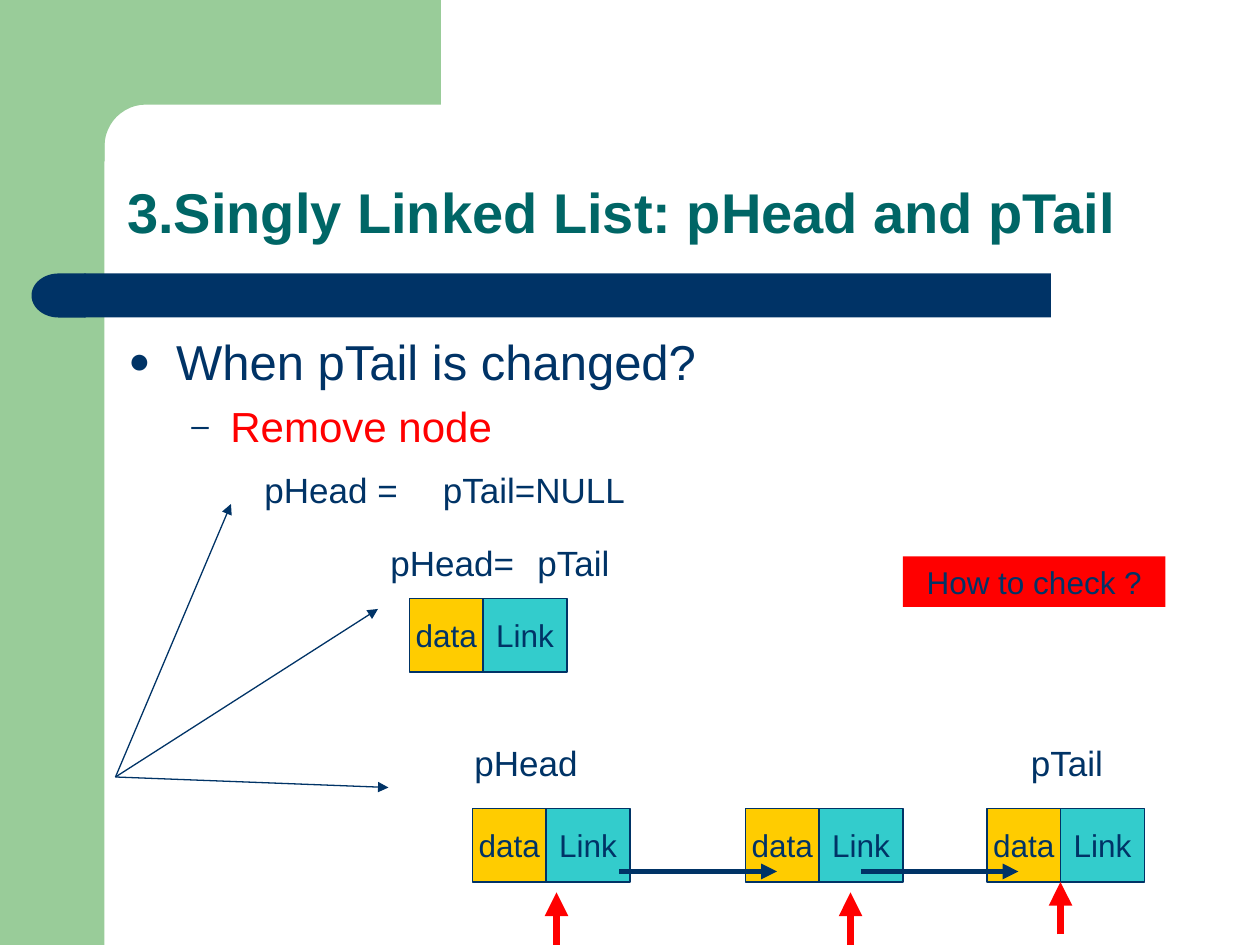
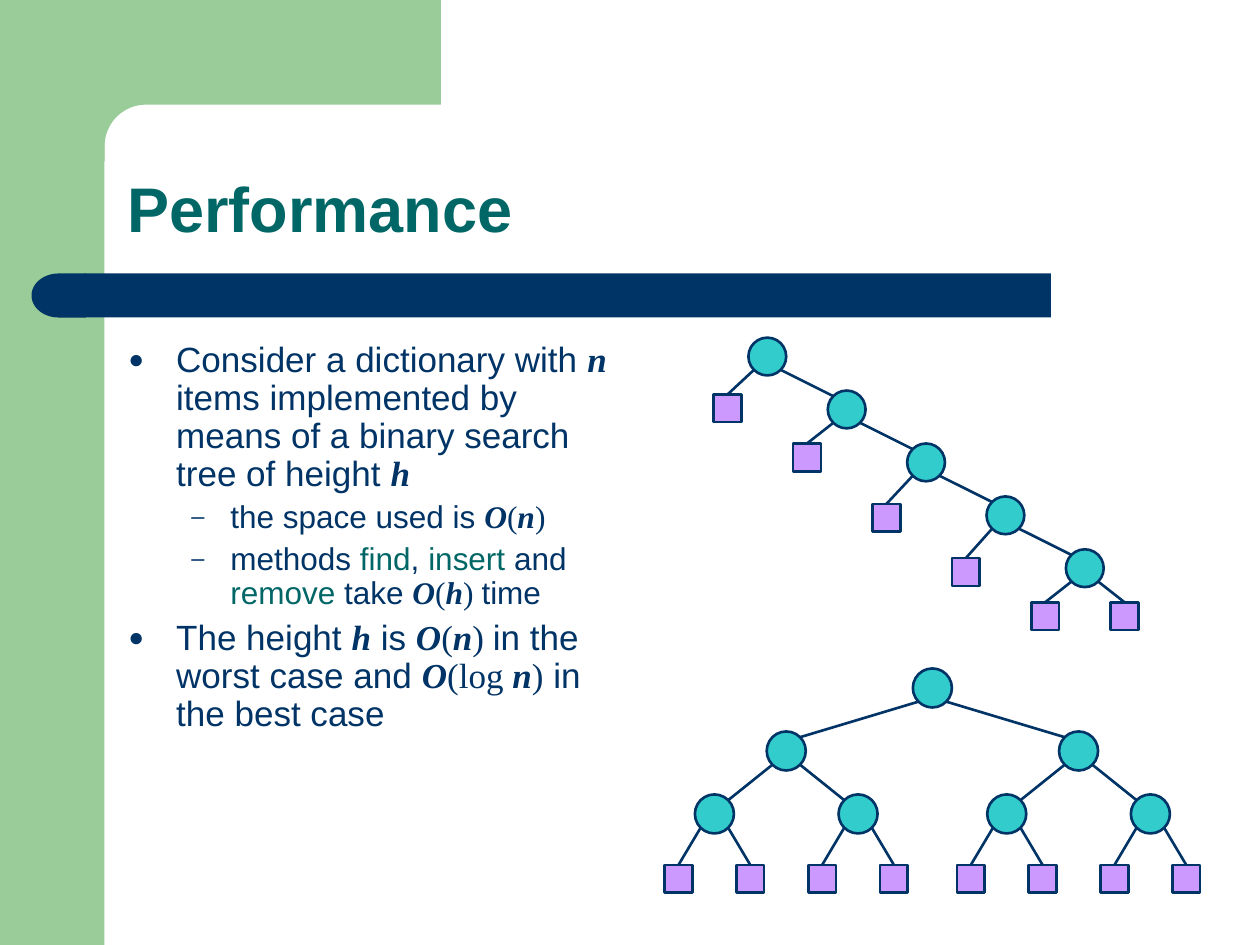
import math

import lxml.etree
import pptx
import pptx.dml.color
import pptx.enum.shapes
import pptx.enum.text
import pptx.oxml.ns
import pptx.util

RGBColor = pptx.dml.color.RGBColor
SHAPE = pptx.enum.shapes.MSO_SHAPE
ALIGN = pptx.enum.text.PP_ALIGN
ANCHOR = pptx.enum.text.MSO_ANCHOR
AUTO = pptx.enum.text.MSO_AUTO_SIZE
Inches, Pt, qn = pptx.util.Inches, pptx.util.Pt, pptx.oxml.ns.qn

NAVY = RGBColor(0x00, 0x33, 0x66)
TEAL = RGBColor(0x00, 0x66, 0x66)
GREEN = RGBColor(0x99, 0xCC, 0x99)
RED = RGBColor(0xFF, 0x00, 0x00)
AMBER = RGBColor(0xFF, 0xCC, 0x00)
CYAN = RGBColor(0x33, 0xCC, 0xCC)
LILAC = RGBColor(0xCC, 0x99, 0xFF)

# Run styles: a run is plain text or a (text, style) pair
SERIF = dict(font="Times New Roman")
MATH = dict(SERIF, bold=True, italic=True)
METHOD = dict(color=TEAL)

# Bullet levels: character, left margin and hanging indent in inches
BULLETS = [("●", 0.38, 0.38), ("–", 0.81, 0.31)]

# Linked-list slide: grid units of one twelfth of an inch
UNIT = 1 / 12
LIST_TITLE = "3.Singly Linked List: pHead and pTail"
LIST_BULLETS = [
    (0, ["When pTail is changed?"], dict(size=28)),
    (1, ["Remove node"], dict(size=24, color=RED, before=6)),
]
NODE_PARTS = [("data", 0, 7, AMBER), ("Link", 7, 8, CYAN)]
NODE_HEIGHT = 7
NODES = [(39, 57), (45, 77), (71, 77), (94, 77)]
LABELS = [  # text, column, row, width
    ("pTail=NULL", 41, 44, 24), ("pHead =", 24, 44, 18),
    ("pHead=", 36, 51, 16), ("pTail", 50, 51, 10),
    ("pHead", 44, 70, 16), ("pTail", 97, 70, 10),
]
LABEL_HEIGHT = 5.28
QUESTION = ("How to check ?", 86, 53, 25, 4.8)
FAN_START, FAN_ENDS = (11, 74), [(22, 48), (36, 58), (37, 75)]
NEXT_LINKS = [(59, 83), (82, 97 - 0)]
LINK_LENGTH = 15
POINTERS = [(101, 84), (81, 85), (53, 85)]  # arrow tips
POINTER_LENGTH = 5

# Performance slide
PERF_TITLE = "Performance"
PERF_BULLETS = [
    (0, ["Consider a dictionary with ", ("n", MATH),
         " items implemented by means of a binary search tree of height ",
         ("h", MATH)], dict(size=20)),
    (1, ["the space used is ", ("O", MATH), ("(", SERIF), ("n", MATH),
         (")", SERIF)], dict(size=18, before=4.5)),
    (1, ["methods ", ("find", METHOD), ", ", ("insert", METHOD), " and ",
         ("remove", METHOD), " take ", ("O", MATH), ("(", SERIF),
         ("h", MATH), (") ", SERIF), "time"], dict(size=18, before=4.5)),
    (0, ["The height ", ("h", MATH), " is ", ("O", MATH), ("(", SERIF),
         ("n", MATH), (") ", SERIF), "in the worst case and ", ("O", MATH),
         ("(log ", SERIF), ("n", MATH), (")", SERIF), " in the best case"],
     dict(size=20, before=5)),
]
# A tree is (dx, dy, children), offset from its parent; leaves have no children
LEAF_DROPS = [0.41, 0.38, 0.44, 0.45]
SKEWED_ROOT, SKEWED_RADIUS = (6.09, 2.83), 0.15
BALANCED_ROOT, BALANCED_RADIUS = (7.4, 5.46), 0.155
BALANCED_STEPS = [(1.16, 0.5), (0.57, 0.5), (0.285, 0.515)]
LEAF_SIZE = 0.22


def skewed_children(drops):
    if not drops:
        return [(-0.315, 0.38, []), (0.315, 0.38, [])]
    return [(-0.315, drops[0], []), (0.63, 0.42, skewed_children(drops[1:]))]


def balanced_children(steps):
    if not steps:
        return []
    dx, dy = steps[0]
    return [(side * dx, dy, balanced_children(steps[1:])) for side in (-1, 1)]


def write(p, runs, size=20, color=NAVY, font="Arial", bold=False, italic=False,
          align=ALIGN.LEFT, spacing=None, before=None):
    p.alignment = align
    if spacing:
        p.line_spacing = spacing
    if before:
        p.space_before = Pt(before)
    base = dict(color=color, font=font, bold=bold, italic=italic)
    for run in [runs] if isinstance(runs, str) else runs:
        text, style = (run, {}) if isinstance(run, str) else run
        look = {**base, **style}
        r = p.add_run()
        r.text = text
        r.font.size, r.font.name = Pt(size), look["font"]
        r.font.bold, r.font.italic = look["bold"], look["italic"]
        r.font.color.rgb = look["color"]


def add_bullet(p, level):
    char, margin, hang = BULLETS[level]
    p.level = level
    pPr = p._p.get_or_add_pPr()
    pPr.set("marL", str(Inches(margin)))
    pPr.set("indent", str(-Inches(hang)))
    clr = lxml.etree.SubElement(pPr, qn("a:buClr"))
    lxml.etree.SubElement(clr, qn("a:srgbClr"), val=str(NAVY))
    lxml.etree.SubElement(pPr, qn("a:buSzPct"), val="75000")
    lxml.etree.SubElement(pPr, qn("a:buFont"), typeface="Arial")
    lxml.etree.SubElement(pPr, qn("a:buChar"), char=char)


def paint(sp, fill, line=None):
    sp.shadow.inherit = False
    sp.fill.solid()
    sp.fill.fore_color.rgb = fill
    if line:
        sp.line.color.rgb, sp.line.width = NAVY, Pt(line)
    else:
        sp.line.fill.background()
    return sp


def add_block(shapes, kind, x, y, w, h, fill, line=None):
    return paint(shapes.add_shape(kind, *map(Inches, (x, y, w, h))), fill, line)


def add_line(shapes, start, end, width, color=NAVY, arrow=False):
    ln = shapes.add_connector(pptx.enum.shapes.MSO_CONNECTOR.STRAIGHT,
                              *map(Inches, (*start, *end)))
    ln.line.color.rgb, ln.line.width = color, Pt(width)
    if arrow:
        lxml.etree.SubElement(ln.line._get_or_add_ln(), qn("a:tailEnd"), type="triangle")
    lxml.etree.SubElement(ln._element.spPr, qn("a:effectLst"))


def add_box(s, x, y, w, h):
    tf = s.shapes.add_textbox(*map(Inches, (x, y, w, h))).text_frame
    tf.word_wrap = True
    return tf


def add_bullets(s, box, items, spacing=None):
    tf = add_box(s, *box)
    for i, (level, runs, style) in enumerate(items):
        p = tf.add_paragraph() if i else tf.paragraphs[0]
        add_bullet(p, level)
        write(p, runs, spacing=spacing, **style)


def add_frame(s):
    """Draw the green corner and navy bar, then move them to the slide's layout."""
    edge, radius = 0.83, 0.33
    center = edge + radius
    turns = [math.radians(90 * i / 12) for i in range(13)]
    arc = [(center - radius * math.sin(t), center - radius * math.cos(t)) for t in turns]
    outline = [(3.5, 0), (3.5, edge), *arc, (edge, 1.28), (0.5, 1.28), (0.5, 0)]
    side = add_block(s.shapes, SHAPE.RECTANGLE, 0, 0, edge, 7.5, GREEN)
    pen = s.shapes.build_freeform(*map(Inches, outline[0]), scale=1.0)
    pen.add_line_segments([tuple(map(Inches, pt)) for pt in outline[1:]], close=True)
    corner = paint(pen.convert_to_shape(), GREEN)
    bar = add_block(s.shapes, SHAPE.RECTANGLE, 0.67, 2.17, 7.67, 0.35, NAVY)
    cap = add_block(s.shapes, SHAPE.FLOWCHART_DELAY, 0.25, 2.17, 0.43, 0.35, NAVY)
    cap.rotation = 180
    for i, sp in enumerate((side, corner, bar, cap)):
        s.slide_layout.shapes.element.insert(2 + i, sp.element)


def add_slide(prs, title, size):
    s = prs.slides.add_slide(prs.slide_layouts[5])
    sp = s.shapes.title
    sp.left, sp.top, sp.width, sp.height = map(Inches, (0.91, 0.91, 8.51, 1.09))
    tf = sp.text_frame
    tf.word_wrap, tf.auto_size, tf.vertical_anchor = True, AUTO.NONE, ANCHOR.BOTTOM
    write(tf.paragraphs[0], title, size=size, color=TEAL, bold=True, spacing=0.9)
    return s


def grid(*units):
    return [u * UNIT for u in units]


def add_list_node(s, col, row):
    for text, offset, width, fill in NODE_PARTS:
        sp = add_block(s.shapes, SHAPE.RECTANGLE,
                       *grid(col + offset, row, width, NODE_HEIGHT), fill, 0.75)
        tf = sp.text_frame
        tf.word_wrap, tf.vertical_anchor = False, ANCHOR.MIDDLE
        write(tf.paragraphs[0], text, size=18, align=ALIGN.CENTER)


def add_tree(shapes, x, y, radius, children):
    reach = 0.7 * radius
    for dx, dy, below in children:
        cx, cy, side = x + dx, y + dy, math.copysign(1, dx)
        end = (cx - side * reach, cy - reach) if below else (cx, cy - LEAF_SIZE / 2)
        add_line(shapes, (x + side * reach, y + reach), end, 1.5)
        add_tree(shapes, cx, cy, radius, below)
    kind, fill, d = ((SHAPE.OVAL, CYAN, 2 * radius) if children
                     else (SHAPE.RECTANGLE, LILAC, LEAF_SIZE))
    add_block(shapes, kind, x - d / 2, y - d / 2, d, d, fill, 1.5)


def build_list_slide(prs):
    s = add_slide(prs, LIST_TITLE, 32)
    add_frame(s)
    add_bullets(s, (0.92, 2.58, 8.41, 4.07), LIST_BULLETS)
    for col, row in NODES:
        add_list_node(s, col, row)
    for text, col, row, width in LABELS:
        tf = add_box(s, *grid(col, row, width, LABEL_HEIGHT))
        write(tf.paragraphs[0], text)
    text, *place = QUESTION
    sp = add_block(s.shapes, SHAPE.RECTANGLE, *grid(*place), RED)
    sp.text_frame.vertical_anchor = ANCHOR.TOP
    write(sp.text_frame.paragraphs[0], text, size=18, align=ALIGN.CENTER)
    for end in FAN_ENDS:
        add_line(s.shapes, grid(*FAN_START), grid(*end), 0.75, arrow=True)
    for col, row in NEXT_LINKS_STARTS:
        add_line(s.shapes, grid(col, row), grid(col + LINK_LENGTH, row), 3, arrow=True)
    for col, row in POINTERS:
        add_line(s.shapes, grid(col, row + POINTER_LENGTH), grid(col, row), 4.5, RED, True)


def build_performance_slide(prs):
    s = add_slide(prs, PERF_TITLE, 36)
    add_bullets(s, (0.92, 2.67, 4.08, 4.17), PERF_BULLETS, spacing=0.9)
    add_tree(s.shapes.add_group_shape().shapes, *SKEWED_ROOT, SKEWED_RADIUS,
             skewed_children(LEAF_DROPS))
    add_tree(s.shapes, *BALANCED_ROOT, BALANCED_RADIUS, balanced_children(BALANCED_STEPS))


NEXT_LINKS_STARTS = [(59, 83), (82, 83)]


def main():
    prs = pptx.Presentation()
    prs.slide_width, prs.slide_height = Inches(10), Inches(7.5)
    build_list_slide(prs)
    build_performance_slide(prs)
    prs.save("out.pptx")


if __name__ == "__main__":
    main()
